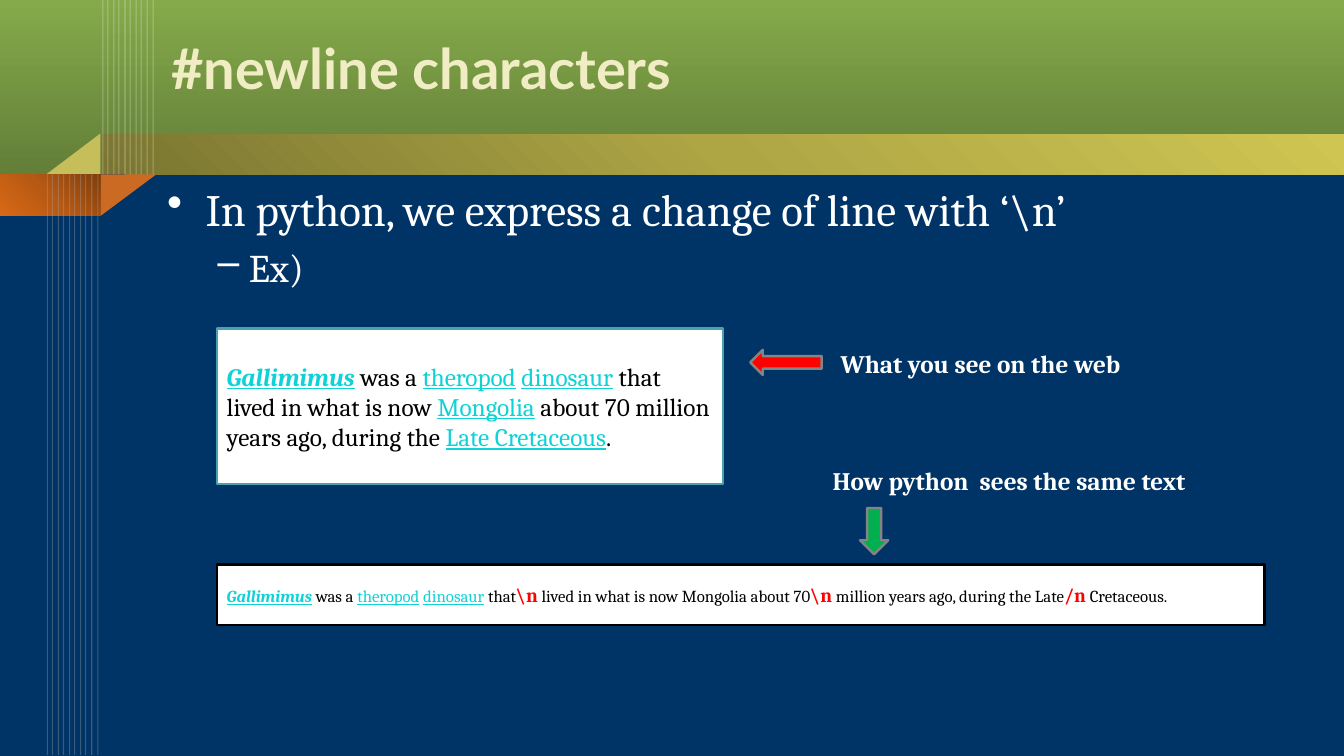
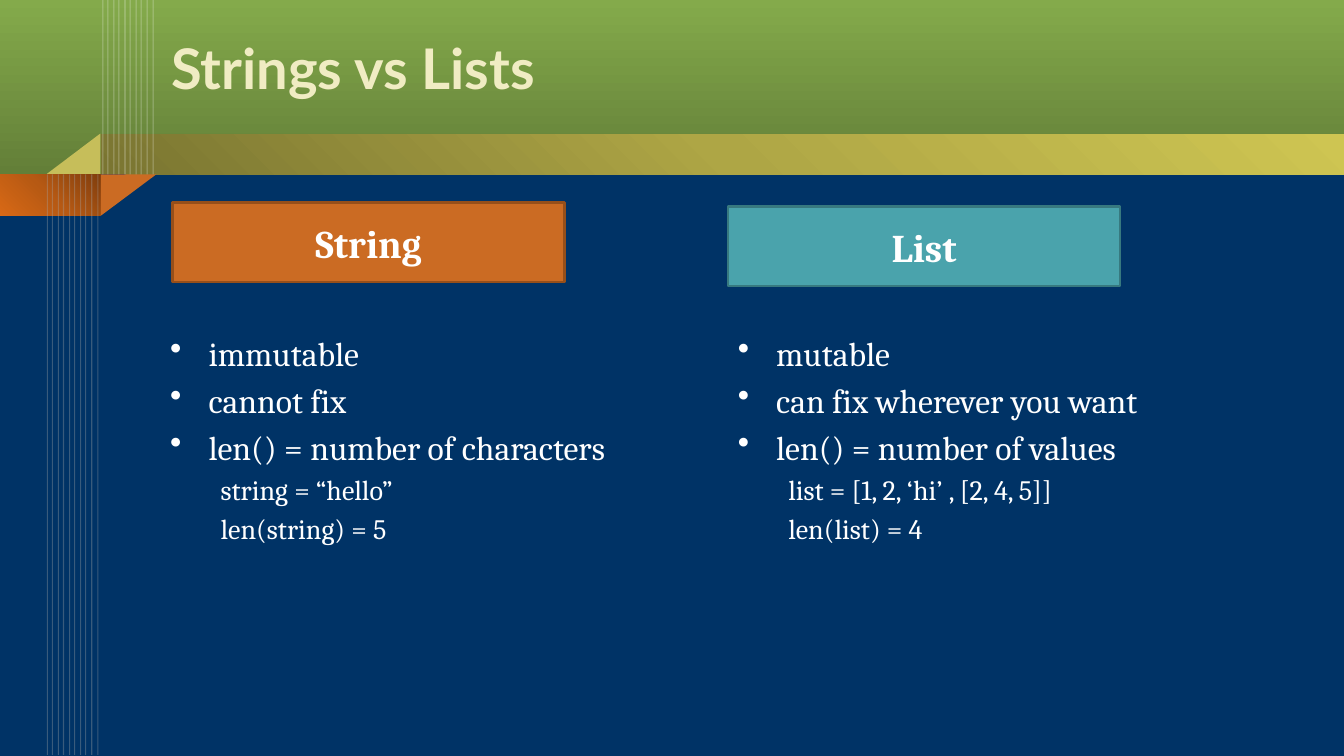
from lxml.etree import SubElement
from pptx import Presentation
from pptx.dml.color import RGBColor
from pptx.enum.shapes import MSO_CONNECTOR, MSO_SHAPE
from pptx.enum.text import MSO_ANCHOR, PP_ALIGN
from pptx.oxml import parse_xml
from pptx.oxml.ns import nsdecls, qn
from pptx.util import Emu, Pt

SCALE = 9144
WIDTH, HEIGHT = 1333, 750
HEADER_BOTTOM = 173
NAVY, WHITE, BLACK = "003366", "FFFFFF", "000000"
ORANGE, YELLOW, TEAL = "CB6B23", "C6BE5A", "4AA3AC"
CREAM, LINK, RED, GREEN, GRAY = "F0ECC3", "0FD2D7", "FF0000", "00B050", "848484"
BODY_FONT, TITLE_FONT = "Cambria", "Lato"
LINEAR = '<a:lin ang="{}" scaled="0"/>'
CORNER = '<a:path path="circle"><a:fillToRect l="100000" b="100000"/></a:path>'


def px(value):
    return Emu(value * SCALE)


def color(value):
    return RGBColor.from_string(value)


def add_span(para, text, size=18, fill=WHITE, bold=False, italic=False,
             underline=False, font=BODY_FONT):
    span = para.add_run()
    span.text = text
    span.font.name = font
    span.font.size = Pt(size)
    span.font.color.rgb = color(fill)
    span.font.bold = bold
    span.font.italic = italic
    span.font.underline = underline


def add_text_box(page, left, top, width, height, anchor=MSO_ANCHOR.TOP):
    box = page.shapes.add_textbox(px(left), px(top), px(width), px(height))
    box.text_frame.word_wrap = True
    box.text_frame.vertical_anchor = anchor
    return box.text_frame


def add_label(page, left, top, width, height, text, **style):
    frame = add_text_box(page, left, top, width, height, MSO_ANCHOR.MIDDLE)
    add_span(frame.paragraphs[0], text, bold=True, **style)


def add_list(page, left, top, width, height, items):
    frame = add_text_box(page, left, top, width, height)
    for index, (text, size, level, margin, hang, bullet) in enumerate(items):
        para = frame.add_paragraph() if index else frame.paragraphs[0]
        para.level = level
        para.space_before = Pt(size * 0.2 if index else 0)
        properties = para._p.get_or_add_pPr()
        properties.set("marL", str(px(margin)))
        properties.set("indent", str(px(-hang)))
        if bullet:
            SubElement(properties, qn("a:buChar")).set("char", bullet)
        else:
            SubElement(properties, qn("a:buNone"))
        add_span(para, text, size=size)


def add_figure(page, kind, left, top, width, height, fill=None, line=None, rotation=0):
    figure = page.shapes.add_shape(kind, px(left), px(top), px(width), px(height))
    figure.shadow.inherit = False
    figure.rotation = rotation
    if fill:
        figure.fill.solid()
        figure.fill.fore_color.rgb = color(fill)
    if line:
        figure.line.color.rgb = color(line)
        figure.line.width = Pt(1.75)
    else:
        figure.line.fill.background()
    return figure


def add_panel(page, left, top, width, height, fill, line, spans, align=PP_ALIGN.LEFT):
    panel = add_figure(page, MSO_SHAPE.RECTANGLE, left, top, width, height, fill, line)
    frame = panel.text_frame
    frame.word_wrap = True
    frame.vertical_anchor = MSO_ANCHOR.MIDDLE
    para = frame.paragraphs[0]
    para.alignment = align
    for text, style in spans:
        add_span(para, text, **style)


def add_gradient_band(page, left, top, width, height, colors, direction):
    band = add_figure(page, MSO_SHAPE.RECTANGLE, left, top, width, height)
    last = len(colors) - 1
    stops = "".join(
        f'<a:gs pos="{index * 100000 // last}"><a:srgbClr val="{value}"/></a:gs>'
        for index, value in enumerate(colors))
    gradient = parse_xml(
        f'<a:gradFill {nsdecls("a")} rotWithShape="1">'
        f'<a:gsLst>{stops}</a:gsLst>{direction}</a:gradFill>')
    band._element.spPr.find(qn("a:prstGeom")).addnext(gradient)


def add_stripes(page, first, last, top, bottom, fill, opacity, count=10):
    for index in range(count):
        left = px(first + index * (last - first) // (count - 1))
        stripe = page.shapes.add_connector(
            MSO_CONNECTOR.STRAIGHT, left, px(top), left, px(bottom))
        stripe.line.color.rgb = color(fill)
        stripe.line.width = Pt(0.75)
        properties = stripe._element.spPr
        shade = properties.find(".//" + qn("a:srgbClr"))
        SubElement(shade, qn("a:alpha")).set("val", str(opacity * 1000))
        SubElement(properties, qn("a:effectLst"))


def add_page(deck, title):
    page = deck.slides.add_slide(deck.slide_layouts[6])
    page.background.fill.solid()
    page.background.fill.fore_color.rgb = color(NAVY)
    add_gradient_band(page, 0, 0, WIDTH, HEADER_BOTTOM,
                      ["84AA4B", "637F38"], LINEAR.format(90 * 60000))
    add_gradient_band(page, 100, 133, WIDTH - 100, 40,
                      ["7A7531", "AEA645", "CEC552"], LINEAR.format(315 * 60000))
    add_gradient_band(page, 0, HEADER_BOTTOM, 100, 41,
                      ["803E0D", "B65913", "D86916"], CORNER)
    add_figure(page, MSO_SHAPE.RIGHT_TRIANGLE, 107, 166, 41, 55, ORANGE, rotation=90)
    add_figure(page, MSO_SHAPE.RIGHT_TRIANGLE, 53, 126, 40, 53, YELLOW, rotation=270)
    add_stripes(page, 102, 152, 0, HEADER_BOTTOM, WHITE, 30)
    add_stripes(page, 47, 97, HEADER_BOTTOM, 749, "A6A6A6", 35)
    add_label(page, 160, 4, 1117, 125, title, size=40, fill=CREAM, font=TITLE_FONT)
    return page


def opening_spans(size):
    plain = {"size": size, "fill": BLACK}
    link = {"size": size, "fill": LINK, "underline": True}
    spans = [("Gallimimus", {**link, "bold": True, "italic": True}),
             (" was a ", plain), ("theropod", link), (" ", plain), ("dinosaur", link)]
    return spans, plain, link


def build_newline_page(deck):
    page = add_page(deck, "#newline characters")
    add_list(page, 156, 175, 1111, 495, [
        ("In python, we express a change of line with ‘\\n’", 32, 0, 38, 38, "•"),
        ("Ex)", 28, 1, 81, 31, "–")])

    spans, plain, link = opening_spans(18)
    add_panel(page, 215, 326, 502, 154, WHITE, TEAL, spans + [
        (" that lived in what is now ", plain), ("Mongolia", link),
        (" about 70 million years ago, during the ", plain),
        ("Late Cretaceous", link), (".", plain)])

    spans, plain, link = opening_spans(12)
    mark = {"size": 14, "fill": RED, "bold": True}
    add_panel(page, 215, 560, 1039, 60, WHITE, BLACK, spans + [
        (" that", plain), ("\\n", mark),
        (" lived in what is now Mongolia about 70", plain), ("\\n", mark),
        (" million years ago, during the Late", plain), ("/n", mark),
        (" Cretaceous.", plain)])

    add_label(page, 824, 341, 314, 40, "What you see on the web")
    add_figure(page, MSO_SHAPE.LEFT_ARROW, 744, 347, 71, 25, RED, GRAY)
    add_figure(page, MSO_SHAPE.DOWN_ARROW, 853, 504, 28, 46, GREEN, GRAY)
    add_label(page, 816, 457, 406, 40, "How python  sees the same text")


def build_comparison_page(deck):
    page = add_page(deck, "Strings vs Lists")
    columns = [
        ("String", 171, 201, ORANGE, "964F1A", 159,
         ["immutable", "cannot fix", "len() = number of characters"],
         ["string = “hello”", "len(string) = 5"]),
        ("List", 722, 205, TEAL, "37797F", 722,
         ["mutable", "can fix wherever you want", "len() = number of values"],
         ["list = [1, 2, ‘hi’ , [2, 4, 5]]", "len(list) = 4"])]
    for heading, left, top, fill, line, list_left, points, examples in columns:
        add_list(page, list_left, 325, 550, 317,
                 [(text, 24, 0, 38, 38, "•") for text in points]
                 + [(text, 20, 1, 50, 0, None) for text in examples])
        add_panel(page, left, top, 389, 79, fill, line,
                  [(heading, {"size": 28, "bold": True})], PP_ALIGN.CENTER)


def main():
    deck = Presentation()
    deck.slide_width, deck.slide_height = px(WIDTH), px(HEIGHT)
    build_newline_page(deck)
    build_comparison_page(deck)
    deck.save("out.pptx")


if __name__ == "__main__":
    main()
